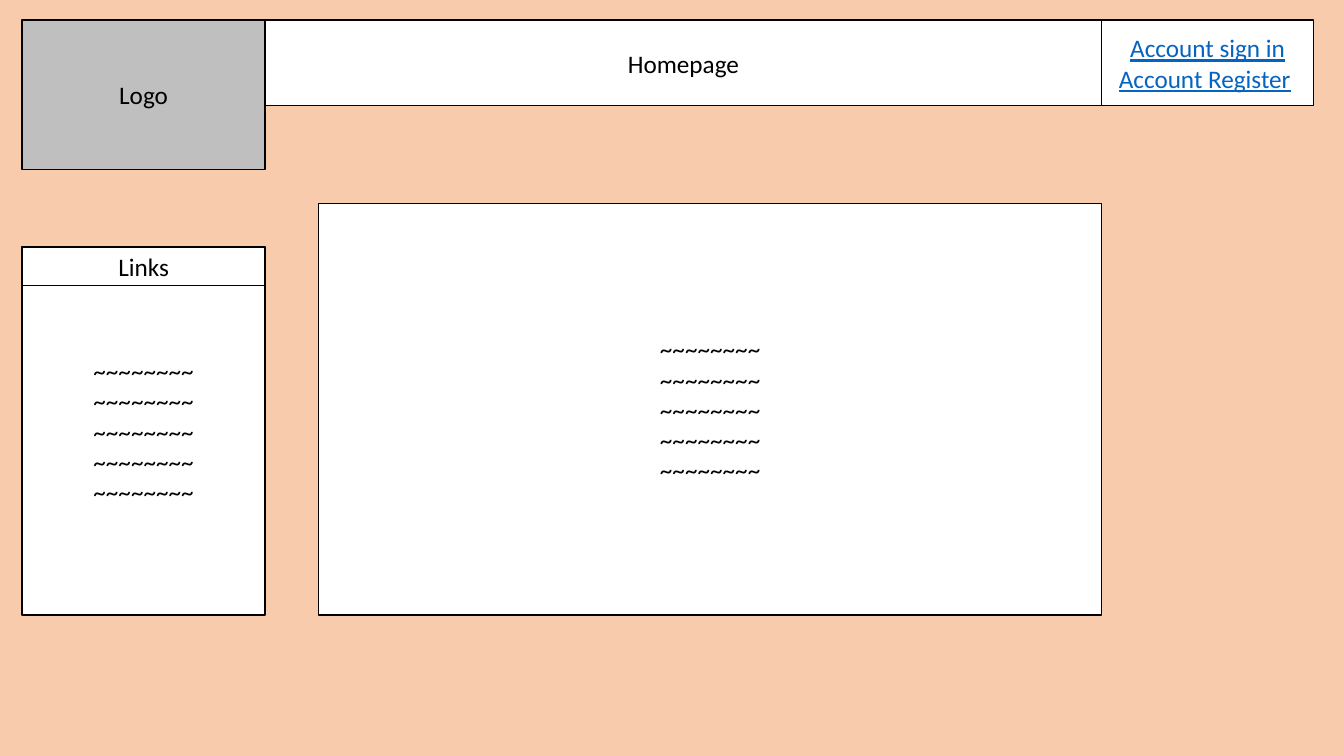
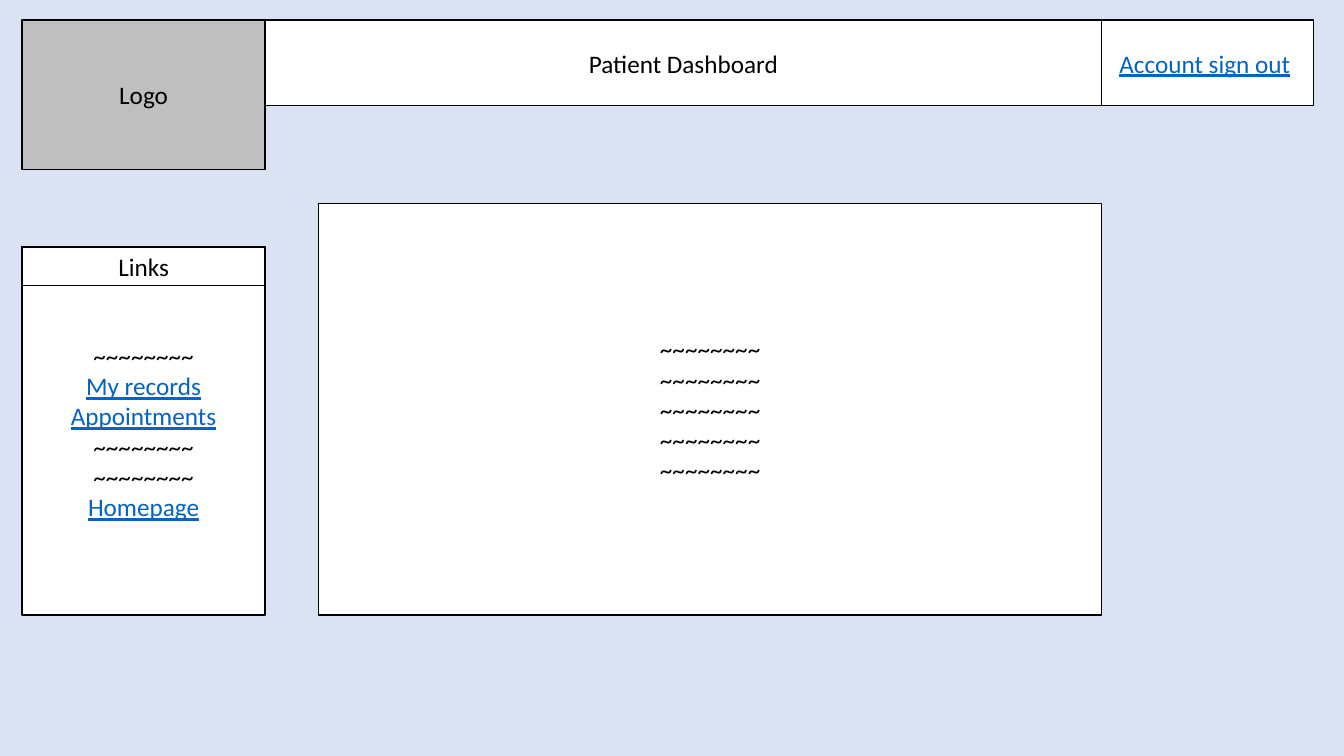
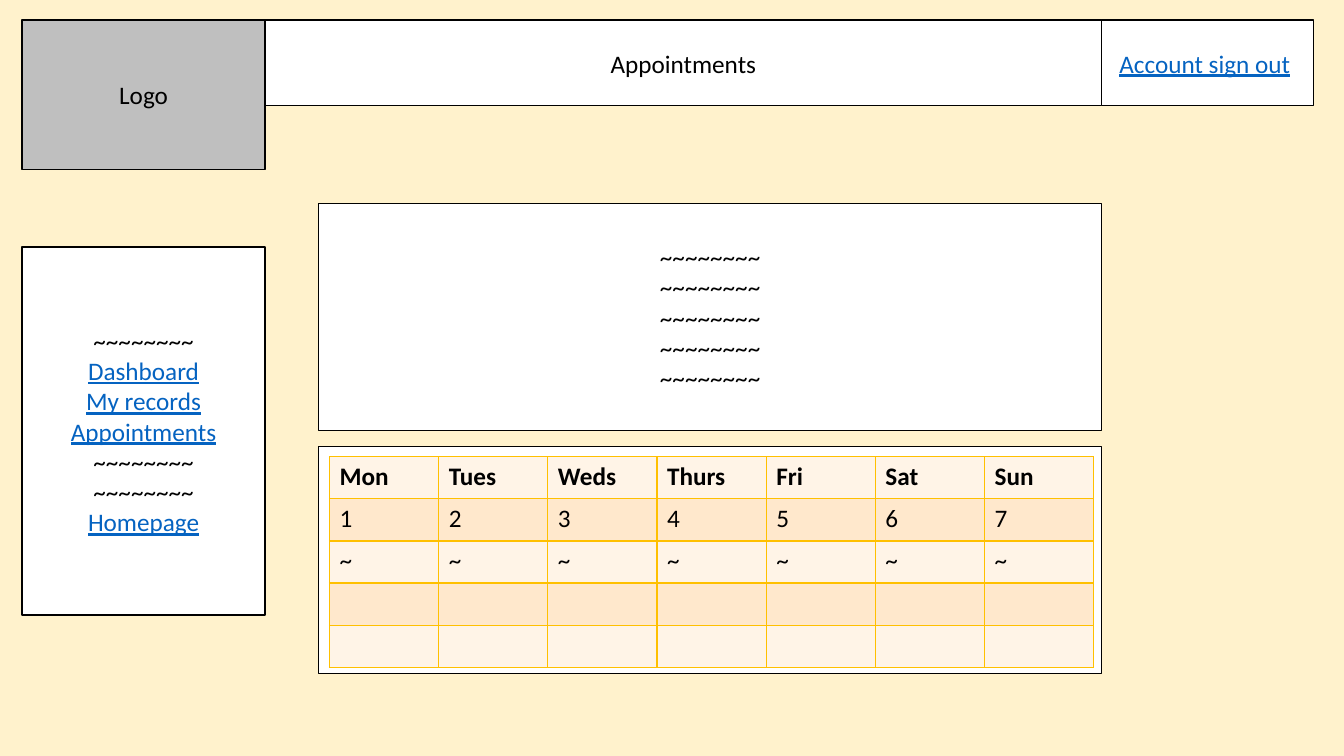
from collections import namedtuple

from lxml import etree
from pptx import Presentation
from pptx.dml.color import RGBColor
from pptx.enum.shapes import MSO_SHAPE
from pptx.enum.text import MSO_ANCHOR, PP_ALIGN
from pptx.oxml.ns import qn
from pptx.util import Pt

RECTANGLE = MSO_SHAPE.RECTANGLE
MIDDLE = MSO_ANCHOR.MIDDLE
CENTER = PP_ALIGN.CENTER

COLORS = {
    "peach": "F8CBAD",
    "blue": "DAE3F3",
    "cream": "FFF2CC",
    "white": "FFFFFF",
    "grey": "BFBFBF",
    "black": "000000",
    "link": "0563C1",
    "grid": "FFC000",
    "band_light": "FFF4E7",
    "band_dark": "FFE8CC",
}
FONT = "Calibri"
FONT_SIZE = 18

Box = namedtuple("Box", "left top width height")
Link = namedtuple("Link", "text tail", defaults=[""])

HEADER = Box(15.8, 14.4, 922.4, 61.2)
LOGO_WIDTH = 173.6
LOGO_HEIGHT = 106.6
ACCOUNT_WIDTH = 151.2
SIDEBAR = Box(HEADER.left, 176.4, LOGO_WIDTH, 262.8)
LINKS_HEIGHT = 27.4
CONTENT = Box(227.5, 145.4, 559.5, 293.8)
PANEL_HEIGHT = 162
PANEL_GAP = 11.6

SQUIGGLE = "~" * 8
BODY = [SQUIGGLE] * 5
SIGN_OUT = [Link("Account sign out", " ")]
PATIENT_LINKS = [
    Link("My records"), Link("Appointments"), SQUIGGLE, SQUIGGLE, Link("Homepage"),
]
DAYS = ["Mon", "Tues", "Weds", "Thurs", "Fri", "Sat", "Sun"]
WEEK_ROWS = [DAYS, "1234567", "~" * 7, [""] * 7, [""] * 7]


def rgb(color):
    return RGBColor.from_string(COLORS[color])


def style_text(para, color="black", bold=False, underline=False):
    font = para.font
    font.name = FONT
    font.size = Pt(FONT_SIZE)
    font.bold = bold
    font.underline = underline
    font.color.rgb = rgb(color)


def add_line(para, line):
    para.alignment = CENTER
    if isinstance(line, Link):
        para.add_run().text = line.text
        style_text(para, "link", underline=True)
        if line.tail:
            span = para.add_run()
            span.text = line.tail
            span.font.underline = False
    else:
        para.add_run().text = line
        style_text(para)


def add_panel(page, box, lines=(), fill="white"):
    shape = page.shapes.add_shape(RECTANGLE, *map(Pt, box))
    shape.shadow.inherit = False
    shape.fill.solid()
    shape.fill.fore_color.rgb = rgb(fill)
    shape.line.color.rgb = rgb("black")
    shape.line.width = Pt(1)
    frame = shape.text_frame
    frame.word_wrap = True
    frame.vertical_anchor = MIDDLE
    for index, line in enumerate(lines):
        add_line(frame.add_paragraph() if index else frame.paragraphs[0], line)


def add_header(page, box, title, account):
    title_left = box.left + LOGO_WIDTH
    account_left = box.left + box.width - ACCOUNT_WIDTH
    add_panel(page, Box(box.left, box.top, LOGO_WIDTH, LOGO_HEIGHT), ["Logo"], "grey")
    add_panel(page, Box(account_left, box.top, ACCOUNT_WIDTH, box.height), account)
    add_panel(page, Box(title_left, box.top, account_left - title_left, box.height), [title])


def add_sidebar(page, box, lines, heading=None):
    add_panel(page, box, lines)
    if heading:
        add_panel(page, box._replace(height=LINKS_HEIGHT), [heading])


def style_cell(cell, fill):
    properties = cell._tc.get_or_add_tcPr()
    for side in ("a:lnL", "a:lnR", "a:lnT", "a:lnB"):
        border = etree.SubElement(properties, qn(side), w=str(Pt(1)))
        solid = etree.SubElement(border, qn("a:solidFill"))
        etree.SubElement(solid, qn("a:srgbClr"), val=COLORS["grid"])
    cell.fill.solid()
    cell.fill.fore_color.rgb = rgb(fill)


def add_calendar(page, box):
    add_panel(page, box)
    column_width, row_height = 78, 30.1
    table = page.shapes.add_table(
        len(WEEK_ROWS), len(DAYS), Pt(box.left + 7.9), Pt(box.top + 7.2),
        Pt(column_width * len(DAYS)), Pt(row_height * len(WEEK_ROWS)),
    ).table
    for row_index, values in enumerate(WEEK_ROWS):
        table.rows[row_index].height = Pt(row_height)
        fill = "band_dark" if row_index % 2 else "band_light"
        for column_index, value in enumerate(values):
            cell = table.cell(row_index, column_index)
            style_cell(cell, fill)
            cell.text = value
            style_text(cell.text_frame.paragraphs[0], bold=row_index == 0)


def add_page(deck, background, title, account, links, heading=None):
    page = deck.slides.add_slide(deck.slide_layouts[6])
    page.background.fill.solid()
    page.background.fill.fore_color.rgb = rgb(background)
    add_header(page, HEADER, title, account)
    add_sidebar(page, SIDEBAR, links, heading)
    return page


def main():
    deck = Presentation()
    deck.slide_width = Pt(960)
    deck.slide_height = Pt(540)

    sign_in = [Link("Account sign in"), Link("Account Register", " ")]
    home = add_page(deck, "peach", "Homepage", sign_in, BODY, "Links")
    add_panel(home, CONTENT, BODY)

    dashboard = add_page(
        deck, "blue", "Patient Dashboard", SIGN_OUT, [SQUIGGLE] + PATIENT_LINKS, "Links")
    add_panel(dashboard, CONTENT, BODY)

    appointments = add_page(
        deck, "cream", "Appointments", SIGN_OUT,
        [SQUIGGLE, Link("Dashboard")] + PATIENT_LINKS)
    upper = CONTENT._replace(height=PANEL_HEIGHT)
    add_panel(appointments, upper, BODY)
    add_calendar(appointments, upper._replace(top=upper.top + PANEL_HEIGHT + PANEL_GAP))

    deck.save("out.pptx")


if __name__ == "__main__":
    main()
